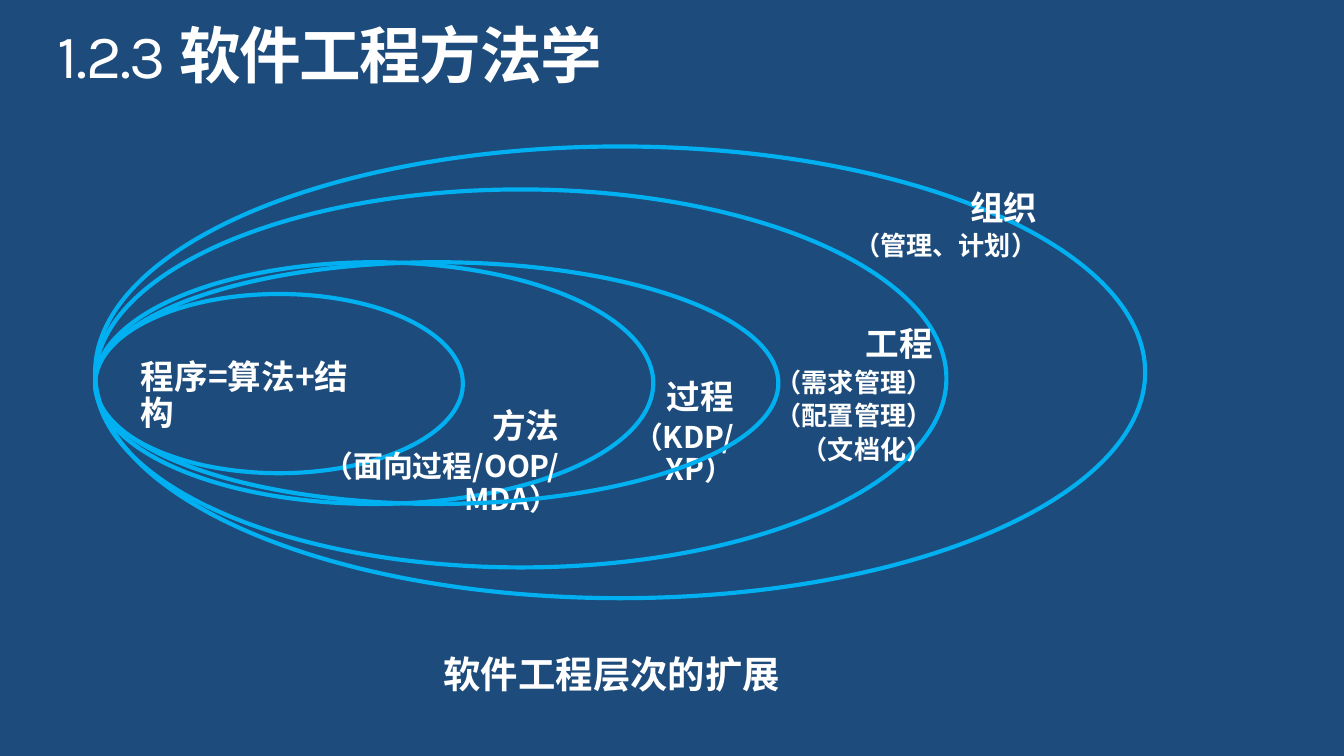
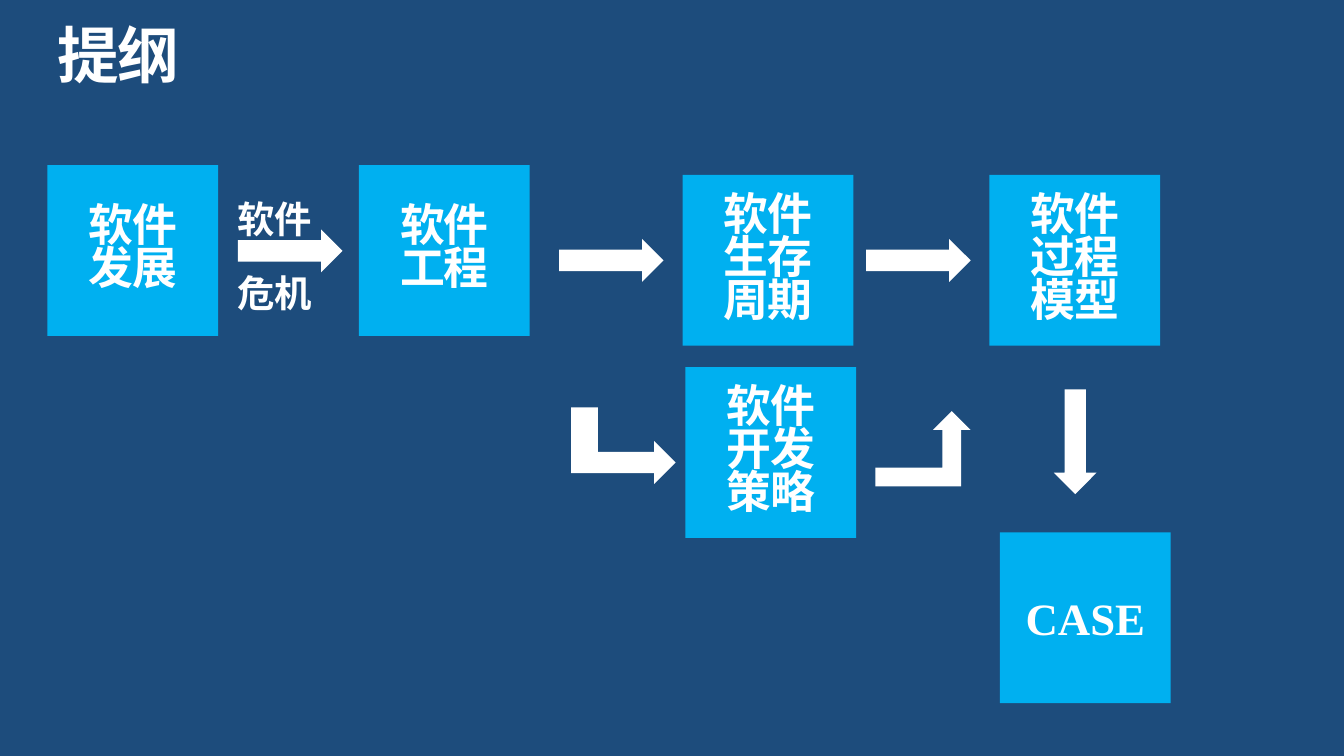
from pptx import Presentation
from pptx.dml.color import RGBColor
from pptx.enum.shapes import MSO_SHAPE
from pptx.enum.text import MSO_ANCHOR, MSO_AUTO_SIZE, PP_ALIGN
from pptx.oxml.ns import qn
from pptx.util import Pt

# Shared look
NAVY, CYAN, WHITE = "1D4C7C", "00B0F0", "FFFFFF"
CJK, LATIN, SERIF = "Noto Sans CJK SC", "Karla", "Times New Roman"
TILE = 91.5
ARROW_W, ARROW_H = 56, 23
RING_LEFT = 51


def color(hex_code):
    return RGBColor.from_string(hex_code)


# Text
def add_run(p, text, size, font=CJK, bold=True, spacing=None):
    r = p.add_run()
    r.text = text
    r.font.size, r.font.bold, r.font.name = Pt(size), bold, font
    r.font.color.rgb = color(WHITE)
    rPr = r._r.get_or_add_rPr()
    ea = rPr.makeelement(qn("a:ea"), {"typeface": font})
    rPr.find(qn("a:latin")).addnext(ea)
    if spacing is not None:
        rPr.set("spc", str(round(spacing * 100)))


def add_paragraph(tf, first, align=PP_ALIGN.LEFT, line=None, before=0):
    p = tf.paragraphs[0] if first else tf.add_paragraph()
    p.alignment = align
    if line:
        p.line_spacing = line
    if before and not first:
        p.space_before = Pt(before)
    return p


def set_margins(tf, x, y):
    tf.margin_left = tf.margin_right = Pt(x)
    tf.margin_top = tf.margin_bottom = Pt(y)


def add_textbox(s, x, y, w, h, margin_x=7.2, margin_y=7.2):
    tf = s.shapes.add_textbox(Pt(x), Pt(y), Pt(w), Pt(h)).text_frame
    tf.word_wrap = True
    tf.auto_size = MSO_AUTO_SIZE.SHAPE_TO_FIT_TEXT
    set_margins(tf, margin_x, margin_y)
    return tf


def add_label(s, x, y, w, h, lines, align=PP_ALIGN.RIGHT, line=0.9):
    """lines: (text, size) pairs, one paragraph each."""
    tf = add_textbox(s, x, y, w, h)
    for i, (text, size) in enumerate(lines):
        p = add_paragraph(tf, i == 0, align, line, before=size * 0.2)
        add_run(p, text, size)


def add_title(s, text, number=None):
    p = add_paragraph(add_textbox(s, 31, 13.7, 659, 36, 0, 0), True, line=0.9)
    if number:
        add_run(p, number, 33, LATIN, bold=False, spacing=-0.8)
    add_run(p, text, 33, spacing=-0.8)


# Shapes
def add_solid(s, kind, x, y, w, h, fill=WHITE):
    sp = s.shapes.add_shape(kind, Pt(x), Pt(y), Pt(w), Pt(h))
    sp.shadow.inherit = False
    sp.fill.solid()
    sp.fill.fore_color.rgb = color(fill)
    sp.line.fill.background()
    return sp


def add_arrow(s, x, y, rotation=0):
    sp = add_solid(s, MSO_SHAPE.RIGHT_ARROW, x, y, ARROW_W, ARROW_H)
    sp.rotation = rotation


def add_tile(s, x, y, lines, font=CJK, line=0.8, spacing=-0.5):
    tf = add_solid(s, MSO_SHAPE.RECTANGLE, x, y, TILE, TILE, CYAN).text_frame
    tf.word_wrap = True
    tf.vertical_anchor = MSO_ANCHOR.MIDDLE
    set_margins(tf, 3.6, 3.6)
    for i, text in enumerate(lines):
        p = add_paragraph(tf, i == 0, PP_ALIGN.CENTER, line)
        add_run(p, text, 24, font, spacing=spacing)


def add_ring(s, y, w, h):
    sp = s.shapes.add_shape(MSO_SHAPE.OVAL, Pt(RING_LEFT), Pt(y), Pt(w), Pt(h))
    sp.shadow.inherit = False
    sp.fill.background()
    sp.line.color.rgb = color(CYAN)
    sp.line.width = Pt(2.25)


# Slides
def add_slide(prs):
    s = prs.slides.add_slide(prs.slide_layouts[6])
    s.background.fill.solid()
    s.background.fill.fore_color.rgb = color(NAVY)
    return s


def build_methodology(prs):
    s = add_slide(prs)
    caption = add_textbox(s, 230.5, 345.5, 260.5, 31.5, margin_y=3.6)
    add_run(add_paragraph(caption, True), "软件工程层次的扩展", 20)

    # Nested layers; the process ring passes over its label
    add_ring(s, 157.5, 197, 96)
    add_label(s, 68.4, 185.8, 142.5, 34, [("程序=算法+结构", 18)], PP_ALIGN.LEFT)
    add_ring(s, 140.5, 299, 129.5)
    add_label(s, 129, 212.4, 177.8, 55.5,
              [("方法", 18), ("（面向过程/OOP/MDA）", 16)])
    add_ring(s, 78.5, 562.5, 242)
    add_label(s, 304, 196.6, 96.3, 55.5, [("过程", 18), ("（KDP/XP）", 16)])
    add_ring(s, 101.5, 456, 202.5)
    add_label(s, 407.8, 168.5, 99, 90,
              [("工程", 18), ("（需求管理）", 14), ("（配置管理）", 14),
               ("（文档化）", 14)])
    add_label(s, 449.3, 95.6, 113.6, 52.5,
              [("组织", 18), ("（管理、计划）", 14)])
    add_ring(s, 140.5, 366, 129.5)

    add_title(s, "软件工程方法学", number="1.2.3 ")


def build_outline(prs):
    s = add_slide(prs)
    add_title(s, "提纲")

    # Topics
    for x, y, lines in [
        (25.4, 88.5, ["软件", "发展"]),
        (192.3, 88.5, ["软件", "工程"]),
        (365.7, 93.7, ["软件", "生存", "周期"]),
        (367.2, 196.7, ["软件", "开发", "策略"]),
        (530, 93.7, ["软件", "过程", "模型"]),
    ]:
        add_tile(s, x, y, lines)
    add_tile(s, 535.7, 285.2, ["CASE"], SERIF, line=None, spacing=None)

    # Arrows between topics
    for x, y in [(127.5, 122.9), (299.5, 128), (306, 236.3), (464, 128)]:
        add_arrow(s, x, y)
    add_arrow(s, 548, 225.2, rotation=90)
    add_solid(s, MSO_SHAPE.RECTANGLE, 306, 218.2, 14.4, 34)
    add_solid(s, MSO_SHAPE.BENT_UP_ARROW, 469, 220.3, 51, 40.3)
    add_label(s, 120.2, 85.7, 55.5, 86.5, [("软件", 20), ("危机", 20)],
              PP_ALIGN.LEFT, line=1.5)


def main():
    prs = Presentation()
    prs.slide_width, prs.slide_height = Pt(720), Pt(405)
    build_methodology(prs)
    build_outline(prs)
    prs.save("out.pptx")


if __name__ == "__main__":
    main()
